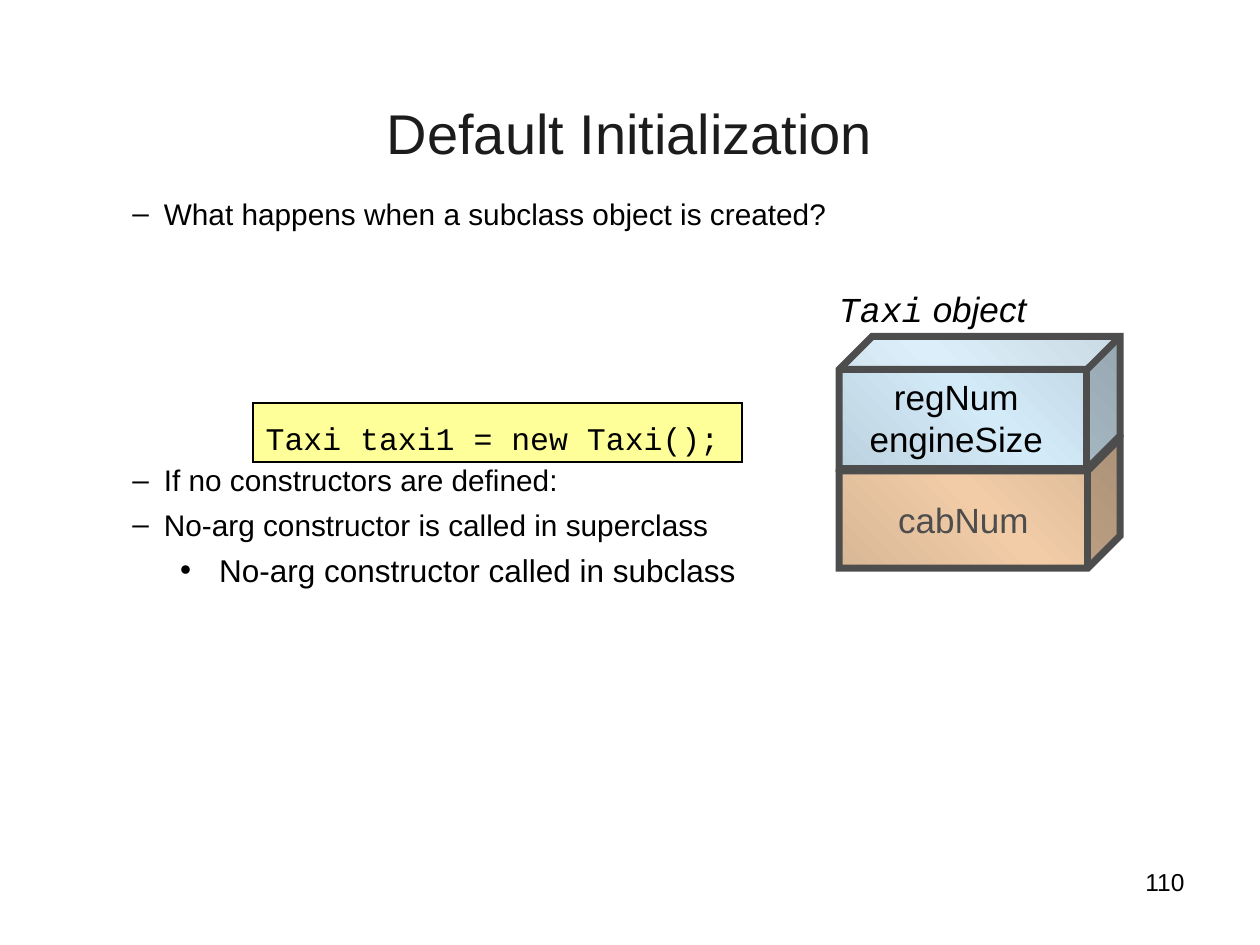
from copy import deepcopy

from lxml import etree
from pptx import Presentation
from pptx.dml.color import RGBColor
from pptx.enum.shapes import MSO_SHAPE
from pptx.enum.text import MSO_ANCHOR, MSO_AUTO_SIZE, PP_ALIGN
from pptx.oxml.ns import qn
from pptx.util import Inches, Pt

CUBE = MSO_SHAPE.CUBE
RECTANGLE = MSO_SHAPE.RECTANGLE
TOP, MIDDLE = MSO_ANCHOR.TOP, MSO_ANCHOR.MIDDLE
NO_AUTOFIT = MSO_AUTO_SIZE.NONE
LEFT, CENTER, RIGHT = PP_ALIGN.LEFT, PP_ALIGN.CENTER, PP_ALIGN.RIGHT

BLACK = RGBColor(0x00, 0x00, 0x00)
CHARCOAL = RGBColor(0x1C, 0x1C, 0x1C)
GRAY = RGBColor(0x4D, 0x4D, 0x4D)
YELLOW = RGBColor(0xFF, 0xFF, 0x99)
ORANGE_DARK = RGBColor(0xD8, 0xB7, 0x96)
ORANGE_LIGHT = RGBColor(0xF1, 0xCC, 0xA7)
BLUE_DARK = RGBColor(0xBD, 0xD2, 0xDF)
BLUE_LIGHT = RGBColor(0xD3, 0xEA, 0xF8)

SANS, MONO = "Arial", "Courier New"


def write(paragraph, text, size=20, font=SANS, color=BLACK, italic=False,
          align=LEFT, before=0, spacing=None):
    paragraph.alignment = align
    paragraph.space_before = Pt(before)
    if spacing:
        paragraph.line_spacing = spacing
    run = paragraph.add_run()
    run.text = text
    run.font.size = Pt(size)
    run.font.name = font
    run.font.italic = italic
    run.font.color.rgb = color


class SlideBuilder:
    line_color = GRAY
    cube_line = Pt(4)

    def __init__(self, presentation):
        self.slide = presentation.slides.add_slide(presentation.slide_layouts[1])

    def place(self, shape, left, top, width, height):
        shape.left, shape.top = Inches(left), Inches(top)
        shape.width, shape.height = Inches(width), Inches(height)

    def title(self, text, box):
        shape = self.slide.shapes.title
        self.place(shape, *box)
        shape.text_frame.auto_size = NO_AUTOFIT
        write(shape.text_frame.paragraphs[0], text, size=32, color=CHARCOAL, align=CENTER)

    def bullets(self, items, box):
        shape = self.slide.placeholders[1]
        self.place(shape, *box)
        frame = shape.text_frame
        frame.auto_size = NO_AUTOFIT
        for index, (text, level, mark, margin, indent, size, before) in enumerate(items):
            paragraph = frame.add_paragraph() if index else frame.paragraphs[0]
            paragraph.level = level
            properties = paragraph._p.get_or_add_pPr()
            properties.set("marL", str(Inches(margin)))
            properties.set("indent", str(Inches(indent)))
            etree.SubElement(properties, qn("a:buChar"), char=mark)
            write(paragraph, text, size=size, before=before)

    def text(self, lines, box, **style):
        shape = self.slide.shapes.add_textbox(*map(Inches, box))
        frame = shape.text_frame
        frame.word_wrap = True
        for index, runs in enumerate(lines):
            paragraph = frame.add_paragraph() if index else frame.paragraphs[0]
            for text, font in runs:
                write(paragraph, text, font=font, **style)

    def shape(self, kind, box, line_color, line_width):
        shape = self.slide.shapes.add_shape(kind, *map(Inches, box))
        shape.shadow.inherit = False
        shape.line.color.rgb = line_color
        shape.line.width = line_width
        etree.SubElement(shape.line._get_or_add_ln(), qn("a:miter"), lim="800000")
        return shape

    def cube(self, box, edge, center, depth, label=None):
        shape = self.shape(CUBE, box, self.line_color, self.cube_line)
        shape.adjustments[0] = depth
        shape.fill.gradient()
        shape.fill.gradient_angle = 45
        stop_list = shape._element.spPr.find(".//" + qn("a:gsLst"))
        stop_list.append(deepcopy(stop_list[0]))
        stops = zip(shape.fill.gradient_stops, (0, 0.5, 1), (edge, center, edge))
        for stop, position, color in stops:
            stop.position = position
            stop.color.rgb = color
        if label:
            frame = shape.text_frame
            frame.word_wrap = False
            frame.vertical_anchor = MIDDLE
            write(frame.paragraphs[0], label, color=GRAY, align=CENTER)

    def code(self, text, box):
        shape = self.shape(RECTANGLE, box, BLACK, Pt(1))
        shape.fill.solid()
        shape.fill.fore_color.rgb = YELLOW
        shape.text_frame.vertical_anchor = TOP
        write(shape.text_frame.paragraphs[0], text, size=18, font=MONO, spacing=1.25)


def main():
    presentation = Presentation()
    presentation.slide_width, presentation.slide_height = Inches(10), Inches(7.5)
    builder = SlideBuilder(presentation)
    dash = (1, "–", 0.37, -0.25, 17)
    dot = (2, "•", 0.81, -0.31, 18)
    builder.text([[("110", SANS)]], (7.17, 6.83, 2.33, 0.52), size=14, align=RIGHT)
    builder.title("Default Initialization", (0.75, 0.42, 8.5, 1.25))
    builder.bullets([
        ("What happens when a subclass object is created?", *dash, 0),
        ("If no constructors are defined:", *dash, 132),
        ("No-arg constructor is called in superclass", *dash, 5),
        ("No-arg constructor called in subclass", *dot, 5),
    ], (0.83, 1.5, 8.24, 3.59))
    builder.cube((6.66, 3.48, 2.23, 1.03), ORANGE_DARK, ORANGE_LIGHT, 0.25, "cabNum")
    builder.cube((6.66, 2.67, 2.23, 1.05), BLUE_DARK, BLUE_LIGHT, 0.25)
    builder.text([[("regNum", SANS)], [("engineSize", SANS)]],
                 (6.72, 2.93, 1.74, 0.76), align=CENTER)
    builder.text([[("Taxi", MONO), (" object", SANS)]],
                 (6.56, 2.26, 2.04, 0.42), italic=True, spacing=0.95)
    builder.code("Taxi taxi1 = new Taxi();", (2.01, 3.2, 3.88, 0.47))
    presentation.save("out.pptx")


if __name__ == "__main__":
    main()
